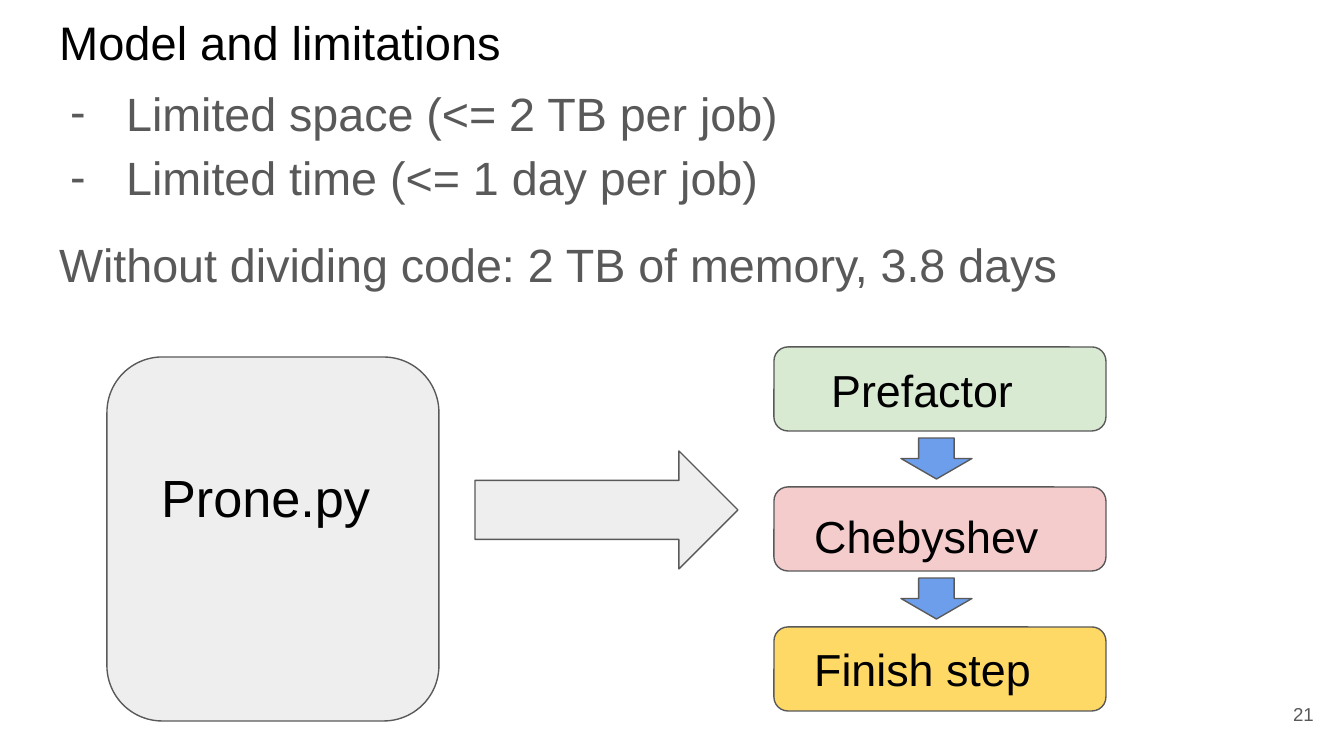
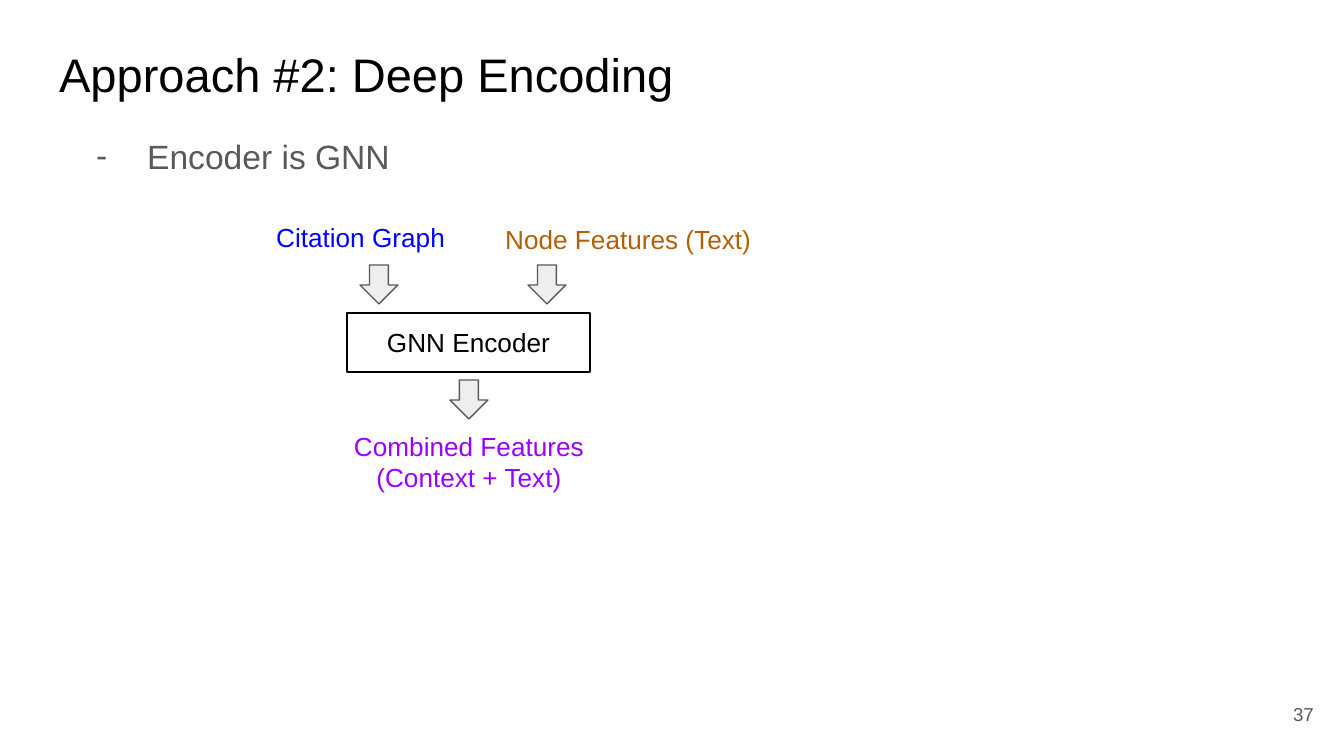
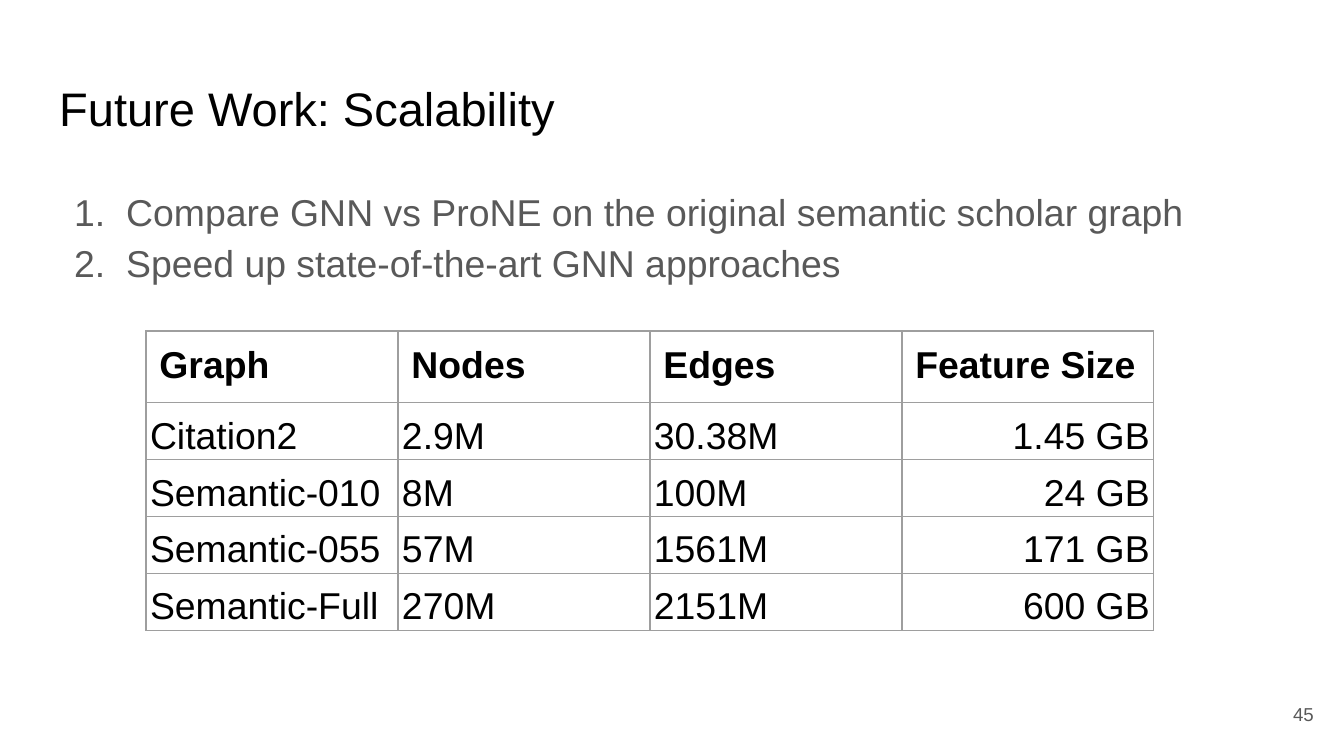
from lxml.etree import SubElement
from pptx import Presentation
from pptx.dml.color import RGBColor
from pptx.enum.shapes import MSO_SHAPE
from pptx.enum.text import MSO_ANCHOR, PP_ALIGN
from pptx.oxml.ns import qn
from pptx.util import Inches, Pt

PX = Inches(10) / 1344
FONT = "Arial"
BLACK = RGBColor(0x00, 0x00, 0x00)
GREY = RGBColor(0x59, 0x59, 0x59)
LIGHT = RGBColor(0xEE, 0xEE, 0xEE)
GREEN = RGBColor(0xD9, 0xEA, 0xD3)
PINK = RGBColor(0xF4, 0xCC, 0xCC)
YELLOW = RGBColor(0xFF, 0xD9, 0x66)
SKY = RGBColor(0x6D, 0x9E, 0xEB)
BLUE = RGBColor(0x00, 0x00, 0xFF)
BROWN = RGBColor(0xB4, 0x5F, 0x06)
PURPLE = RGBColor(0x99, 0x00, 0xFF)
BORDER = RGBColor(0x9E, 0x9E, 0x9E)


def write(frame, text, size, color=BLACK, bold=False, align=PP_ALIGN.LEFT,
          spacing=None, gap=None, hang=0, bullet=None, value=None):
    para = frame.add_paragraph() if frame.text else frame.paragraphs[0]
    para.alignment = align
    if spacing:
        para.line_spacing = spacing
    if gap:
        para.space_before = para.space_after = Pt(gap)
    if bullet:
        props = para._p.get_or_add_pPr()
        props.set("marL", str(round(67 * PX)))
        props.set("indent", str(round(-hang * PX)))
        tint = SubElement(props, qn("a:buClr"))
        SubElement(tint, qn("a:srgbClr"), val=str(color))
        SubElement(props, qn("a:buFont"), typeface=FONT)
        SubElement(props, qn("a:" + bullet)).set(*value)
    span = para.add_run()
    span.text = text
    span.font.name = FONT
    span.font.size = Pt(size)
    span.font.bold = bold
    span.font.color.rgb = color


def place(page, at, kind=None, fill=None, line=GREY):
    area = [round(length * PX) for length in at]
    if kind is None:
        box = page.shapes.add_textbox(*area)
    else:
        box = page.shapes.add_shape(kind, *area)
        box.shadow.inherit = False
        box.line.color.rgb = line
        box.line.width = Pt(0.75)
        if fill is None:
            box.fill.background()
        else:
            box.fill.solid()
            box.fill.fore_color.rgb = fill
    frame = box.text_frame
    frame.word_wrap = True
    frame.vertical_anchor = MSO_ANCHOR.TOP
    frame.margin_left = frame.margin_right = Inches(0.1)
    frame.margin_top = frame.margin_bottom = Inches(0.1)
    return frame


deck = Presentation()
deck.slide_width = Inches(10)
deck.slide_height = round(756 * PX)

pages = []
for title, top, number in [
    ("Model and limitations", 0, "21"),
    ("Approach #2: Deep Encoding", 32, "37"),
    ("Future Work: Scalability", 66, "45"),
]:
    page = deck.slides.add_slide(deck.slide_layouts[6])
    write(place(page, (46, top, 1253, 84)), title, 25.2)
    footer = place(page, (1246, 685, 81, 58))
    footer.vertical_anchor = MSO_ANCHOR.MIDDLE
    write(footer, number, 10, GREY, align=PP_ALIGN.RIGHT)
    pages.append(page)
limits, encoding, future = pages

DASH = {"bullet": "buChar", "value": ("char", "-")}
COUNT = {"bullet": "buAutoNum", "value": ("type", "arabicPeriod")}

body = place(limits, (46, 63, 1253, 265))
for text in ("Limited space (<= 2 TB per job)", "Limited time (<= 1 day per job)"):
    write(body, text, 25, GREY, spacing=1.15, hang=56, **DASH)
write(body, "Without dividing code: 2 TB of memory, 3.8 days", 25, GREY,
      spacing=1.15, gap=12)

place(limits, (107, 357, 332, 364), MSO_SHAPE.ROUNDED_RECTANGLE, LIGHT)
write(place(limits, (148, 452, 249, 156)), "Prone.py", 28)
place(limits, (475, 451, 263, 118), MSO_SHAPE.RIGHT_ARROW, LIGHT)
for index, (step, fill, left, top) in enumerate([
    ("Prefactor", GREEN, 818, 349),
    ("Chebyshev", PINK, 801, 495),
    ("Finish step", YELLOW, 801, 628),
]):
    shift = index * 140
    place(limits, (774, 347 + shift, 332, 84), MSO_SHAPE.ROUNDED_RECTANGLE, fill)
    write(place(limits, (left, top, 278, 67)), step, 24)
    if index < 2:
        place(limits, (901, 438 + shift, 71, 41), MSO_SHAPE.DOWN_ARROW, SKY)

body = place(encoding, (67, 116, 409, 69))
write(body, "Encoder is GNN", 18, GREY, spacing=1.15, hang=51, **DASH)
encoder = place(encoding, (347, 313, 243, 59), MSO_SHAPE.RECTANGLE, line=BLACK)
write(encoder, "GNN Encoder", 14, align=PP_ALIGN.CENTER)
for text, color, at, align in [
    ("Citation Graph", BLUE, (263, 208, 223, 59), PP_ALIGN.LEFT),
    ("Node Features (Text)", BROWN, (492, 210, 280, 59), PP_ALIGN.LEFT),
    ("Combined Features (Context + Text)", PURPLE, (336, 417, 266, 90), PP_ALIGN.CENTER),
]:
    write(place(encoding, at), text, 14, color, align=align)
for left, top in [(360, 265), (528, 265), (450, 380)]:
    place(encoding, (left, top, 38, 39), MSO_SHAPE.DOWN_ARROW, LIGHT)

body = place(future, (46, 169, 1253, 503))
for text in ("Compare GNN vs ProNE on the original semantic scholar graph",
             "Speed up state-of-the-art GNN approaches"):
    write(body, text, 20, GREY, spacing=1.15, hang=52, **COUNT)

rows = [
    ("Graph", "Nodes", "Edges", "Feature Size"),
    ("Citation2", "2.9M", "30.38M", "1.45 GB"),
    ("Semantic-010", "8M", "100M", "24 GB"),
    ("Semantic-055", "57M", "1561M", "171 GB"),
    ("Semantic-Full", "270M", "2151M", "600 GB"),
]
area = [round(length * PX) for length in (146, 331, 1008, 280)]
table = future.shapes.add_table(5, 4, *area).table
table.first_row = table.horz_banding = False
for r, row in enumerate(rows):
    for c, text in enumerate(row):
        cell = table.cell(r, c)
        header = r == 0
        cell.margin_left = cell.margin_right = Inches(0.1 if header else 0.03)
        cell.margin_top = cell.margin_bottom = Inches(0.1 if header else 0.02)
        cell.vertical_anchor = MSO_ANCHOR.TOP if header else MSO_ANCHOR.BOTTOM
        props = cell._tc.get_or_add_tcPr()
        for side in ("lnL", "lnR", "lnT", "lnB"):
            edge = SubElement(props, qn("a:" + side), w=str(Pt(0.75)))
            paint = SubElement(edge, qn("a:solidFill"))
            SubElement(paint, qn("a:srgbClr"), val=str(BORDER))
        cell.fill.background()
        right = c == 3 and not header
        write(cell.text_frame, text, 20, bold=header,
              align=PP_ALIGN.RIGHT if right else PP_ALIGN.LEFT,
              spacing=None if header else 1.15)

deck.save("out.pptx")
